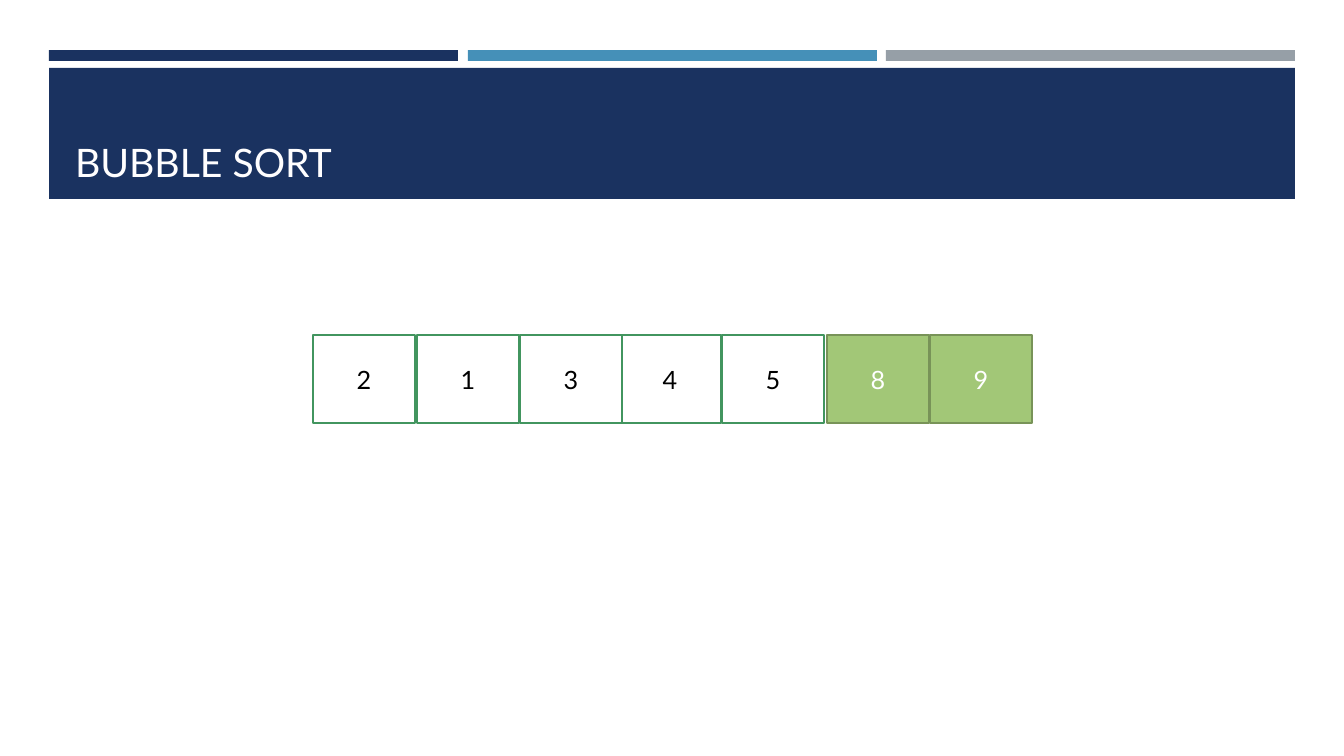
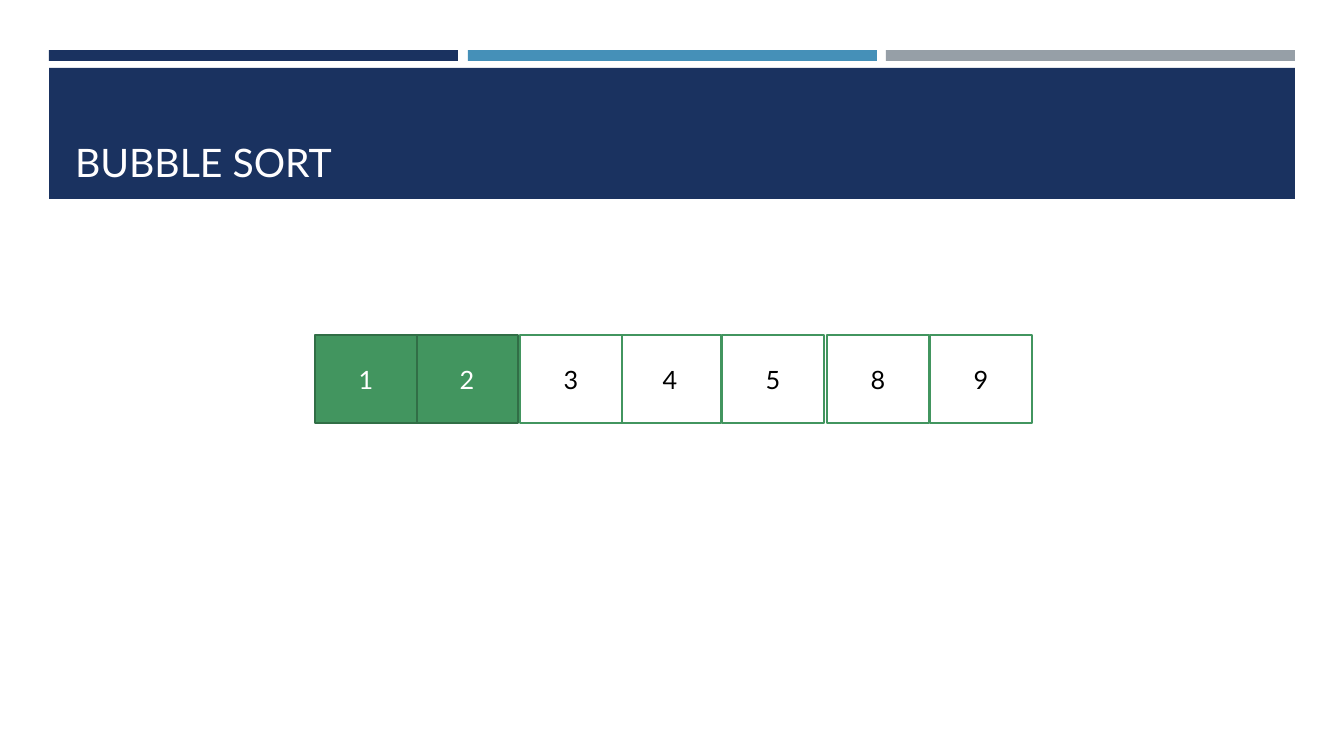
from dataclasses import dataclass

from pptx import Presentation
from pptx.dml.color import RGBColor
from pptx.enum.shapes import MSO_SHAPE
from pptx.enum.text import MSO_ANCHOR, MSO_AUTO_SIZE, PP_ALIGN
from pptx.util import Emu, Pt

# Each slide: title, cell values, cell left edges, and the style of highlighted values
CELL_LEFTS = (313, 417, 520, 619, 722, 827, 930)
SLIDES = [
    {
        "title": "BUBBLE SORT",
        "values": (2, 1, 3, 4, 5, 8, 9),
        "lefts": CELL_LEFTS,
        "marked": {8: "settled", 9: "settled"},
    },
    {
        "title": "BUBBLE SORT",
        "values": (1, 2, 3, 4, 5, 8, 9),
        "lefts": (315, 416) + CELL_LEFTS[2:],
        "marked": {1: "compared", 2: "compared"},
    },
]


@dataclass(frozen=True)
class Theme:
    """Colours, font and type sizes of the deck."""

    font: str = "Lato"
    title_size: float = 28
    cell_size: float = 18
    cell_line: float = 1.75
    navy: str = "1A3260"
    blue: str = "4590B8"
    grey: str = "969FA7"
    title_text: str = "FFFEFF"


THEME = Theme()
# Fill, line and text colour of each kind of cell
CELL_STYLES = {
    "waiting": ("FFFFFF", "42955F", "000000"),
    "settled": ("A2C777", "789358", "FFFFFF"),
    "compared": ("42955F", "316E46", "FFFFFF"),
}

# Left, top, width, height in pixels
SLIDE_SIZE = (1344, 756)
TITLE_AREA = (65, 78, 1216, 112)
BANDS = [
    ((49, 50, 409, 11), THEME.navy),
    ((468, 50, 409, 11), THEME.blue),
    ((886, 50, 409, 11), THEME.grey),
    ((49, 68, 1246, 131), THEME.navy),
]
CELL_TOP, CELL_WIDTH, CELL_HEIGHT = 335, 102, 88
FIRST_BAND_ID = 100


def px(length):
    """Turn pixels into EMU."""
    return Emu(round(length * 914400 / 100.8))


def add_box(page, area, fill, line=None):
    """Add a flat rectangle, outlined when a line colour is given."""
    box = page.shapes.add_shape(MSO_SHAPE.RECTANGLE, *map(px, area))
    box.shadow.inherit = False
    box.fill.solid()
    box.fill.fore_color.rgb = RGBColor.from_string(fill)
    if line:
        box.line.color.rgb = RGBColor.from_string(line)
        box.line.width = Pt(THEME.cell_line)
    else:
        box.line.fill.background()
    return box


def write(shape, text, size, color, align, anchor):
    """Set one line of text and its format."""
    frame = shape.text_frame
    frame.text = text
    frame.word_wrap = True
    frame.auto_size = MSO_AUTO_SIZE.NONE
    frame.vertical_anchor = anchor
    para = frame.paragraphs[0]
    para.alignment = align
    font = para.runs[0].font
    font.name, font.size = THEME.font, Pt(size)
    font.color.rgb = RGBColor.from_string(color)


def move_bands_to_layout(page):
    """Draw the bands once and hand them to the layout that all slides share."""
    tree = page.slide_layout.shapes.element
    for index, (area, fill) in enumerate(BANDS):
        band = add_box(page, area, fill).element
        band.nvSpPr.cNvPr.set("id", str(FIRST_BAND_ID + index))
        tree.insert(2 + index, band)


def add_title(page, text):
    """Place and format the title placeholder."""
    title = page.shapes.title
    title.left, title.top, title.width, title.height = map(px, TITLE_AREA)
    write(title, text, THEME.title_size, THEME.title_text,
          PP_ALIGN.LEFT, MSO_ANCHOR.BOTTOM)


def add_cells(page, values, lefts, marked):
    """Draw the array from right to left, so that left cells overlap right ones."""
    for value, left in reversed(list(zip(values, lefts))):
        fill, line, color = CELL_STYLES[marked.get(value, "waiting")]
        cell = add_box(page, (left, CELL_TOP, CELL_WIDTH, CELL_HEIGHT), fill, line)
        write(cell, str(value), THEME.cell_size, color,
              PP_ALIGN.CENTER, MSO_ANCHOR.MIDDLE)


def build():
    """Build and save the deck."""
    deck = Presentation()
    deck.slide_width, deck.slide_height = map(px, SLIDE_SIZE)
    title_only = deck.slide_layouts[5]
    for number, content in enumerate(SLIDES):
        page = deck.slides.add_slide(title_only)
        if number == 0:
            move_bands_to_layout(page)
        add_title(page, content["title"])
        add_cells(page, content["values"], content["lefts"], content["marked"])
    deck.save("out.pptx")


build()
